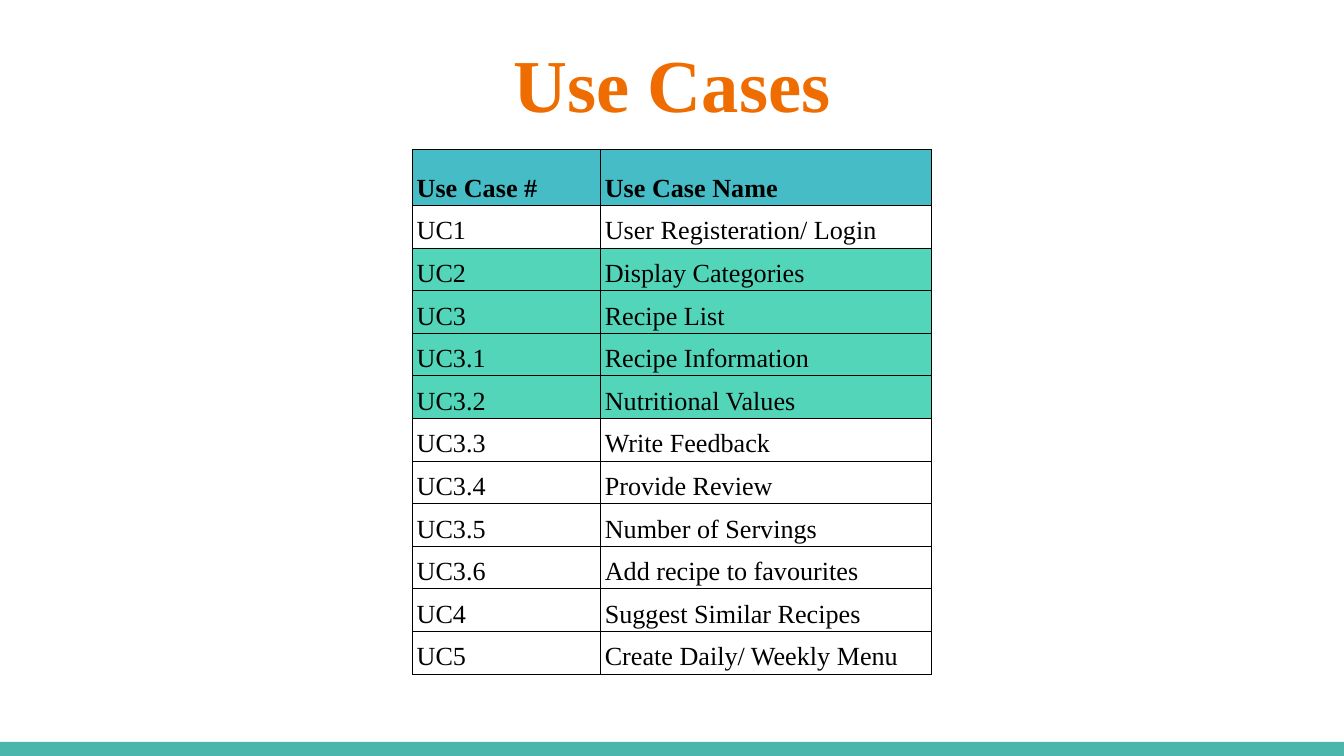
from pptx import Presentation
from pptx.dml.color import RGBColor
from pptx.enum.shapes import MSO_SHAPE
from pptx.enum.text import MSO_ANCHOR, PP_ALIGN
from pptx.oxml import parse_xml
from pptx.oxml.ns import nsdecls
from pptx.util import Inches, Pt

ORANGE = RGBColor(0xEF, 0x6C, 0x00)
TEAL = RGBColor(0x4D, 0xB6, 0xAC)
BLUE = RGBColor(0x46, 0xBD, 0xC6)
GREEN = RGBColor(0x52, 0xD5, 0xB9)
BLACK = RGBColor(0, 0, 0)

USE_CASES = [
    ("Use Case #", "Use Case Name", BLUE),
    ("UC1", "User Registeration/ Login", None),
    ("UC2", "Display Categories", GREEN),
    ("UC3", "Recipe List", GREEN),
    ("UC3.1", "Recipe Information", GREEN),
    ("UC3.2", "Nutritional Values", GREEN),
    ("UC3.3", "Write Feedback", None),
    ("UC3.4", "Provide Review", None),
    ("UC3.5", "Number of Servings", None),
    ("UC3.6", "Add recipe to favourites", None),
    ("UC4", "Suggest Similar Recipes", None),
    ("UC5", "Create Daily/ Weekly Menu", None),
]
COL_WIDTHS = (1.4, 2.46)
TABLE_HEIGHT, HEADER_HEIGHT = 3.91, 0.42
ROW_HEIGHT = (TABLE_HEIGHT - HEADER_HEIGHT) / (len(USE_CASES) - 1)
CELL_FORMAT = {
    "vertical_anchor": MSO_ANCHOR.BOTTOM,
    "margin_left": Inches(0.03),
    "margin_right": Inches(0.03),
    "margin_top": Inches(0.02),
    "margin_bottom": Inches(0.02),
}


def add_run(p, text, size, color, bold):
    r = p.add_run()
    r.text = text
    font = {"name": "Times New Roman", "size": Pt(size), "bold": bold}
    for key, value in font.items():
        setattr(r.font, key, value)
    r.font.color.rgb = color


def add_borders(cell):
    """Draw a thin black line on all four sides; call before setting the fill."""
    tcPr = cell._tc.get_or_add_tcPr()
    for side in ("lnL", "lnR", "lnT", "lnB"):
        tcPr.append(parse_xml(
            f'<a:{side} {nsdecls("a")} w="{Pt(0.6)}"><a:solidFill>'
            f'<a:srgbClr val="{BLACK}"/></a:solidFill></a:{side}>'))


prs = Presentation()
prs.slide_width = Inches(10)
prs.slide_height = Inches(10 * 9 / 16)
s = prs.slides.add_slide(prs.slide_layouts[6])

# Footer band
band = s.shapes.add_shape(MSO_SHAPE.RECTANGLE, 0, Inches(5.52), Inches(10), Inches(0.11))
band.shadow.inherit = False
band.fill.solid()
band.fill.fore_color.rgb = TEAL
band.line.fill.background()

# Title
title = s.shapes.add_textbox(Inches(0.34), Inches(0.18), Inches(9.32), Inches(0.77))
tf = title.text_frame
tf.word_wrap = True
for side in ("left", "right", "top", "bottom"):
    setattr(tf, f"margin_{side}", Inches(0.1))
p = tf.paragraphs[0]
p.alignment = PP_ALIGN.CENTER
add_run(p, "Use Cases", 40, ORANGE, True)

# Use case table
table = s.shapes.add_table(len(USE_CASES), len(COL_WIDTHS), Inches(3.07), Inches(1.11),
                           Inches(sum(COL_WIDTHS)), Inches(TABLE_HEIGHT)).table
table.first_row = table.horz_banding = False
for column, width in zip(table.columns, COL_WIDTHS):
    column.width = Inches(width)

for i, (number, name, fill) in enumerate(USE_CASES):
    table.rows[i].height = Inches(ROW_HEIGHT if i else HEADER_HEIGHT)
    for j, text in enumerate((number, name)):
        cell = table.cell(i, j)
        for key, value in CELL_FORMAT.items():
            setattr(cell, key, value)
        add_borders(cell)
        if fill is None:
            cell.fill.background()
        else:
            cell.fill.solid()
            cell.fill.fore_color.rgb = fill
        p = cell.text_frame.paragraphs[0]
        p.line_spacing = 1.15
        add_run(p, text, 14, BLACK, i == 0)

prs.save("out.pptx")
